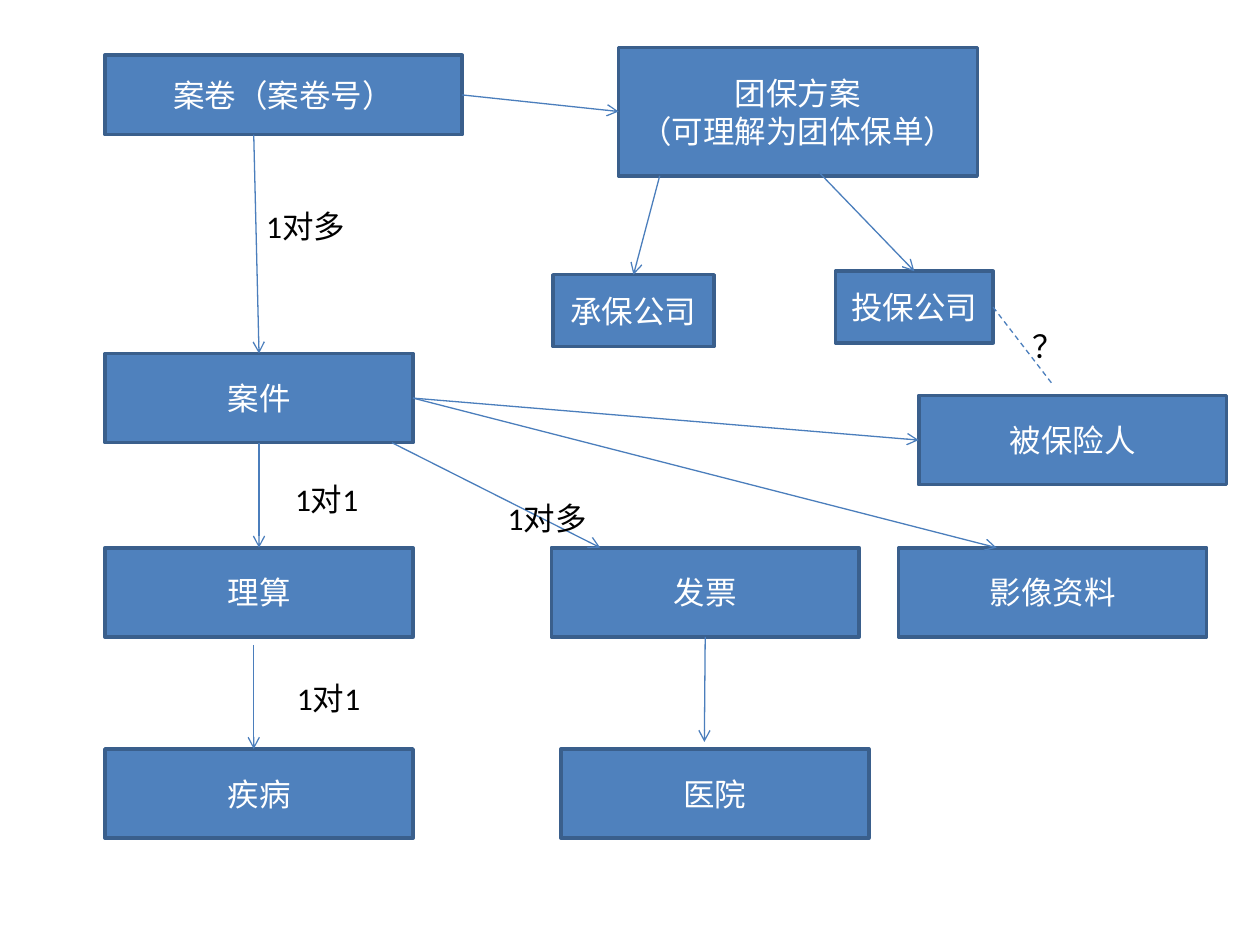
from lxml.etree import SubElement as Sub
from pptx import Presentation
from pptx.dml.color import RGBColor
from pptx.enum.dml import MSO_LINE as Dash
from pptx.enum.shapes import MSO_CONNECTOR as Link, MSO_SHAPE as Shape
from pptx.enum.text import MSO_ANCHOR as Anchor, PP_ALIGN as Align
from pptx.oxml.ns import qn
from pptx.util import Pt

FONT, SIZE = "Calibri", 18
FILL, EDGE, LINE = "4F81BD", "3A5F8C", "4B7EBC"
WHITE, BLACK = "FFFFFF", "000000"
TOP, LEFT, BOTTOM, RIGHT = range(4)
WIDE = (176, 51)

# key: (lines of text, left and top, width and height)
BOXES = {
    "file": (["案卷（案卷号）"], (60, 31.5), (204, 45.5)),
    "plan": (["团保方案", "（可理解为团体保单）"], (353.5, 27), (205, 73.5)),
    "insurer": (["承保公司"], (316, 157), (92, 41)),
    "buyer": (["投保公司"], (477.5, 155), (90, 41)),
    "case": (["案件"], (60, 202), WIDE),
    "insured": (["被保险人"], (525, 226), WIDE),
    "claim": (["理算"], (60, 313), WIDE),
    "bill": (["发票"], (315, 313), WIDE),
    "image": (["影像资料"], (513.5, 313), WIDE),
    "illness": (["疾病"], (60, 428), WIDE),
    "clinic": (["医院"], (320.5, 428), WIDE),
}

# each end is a (box, side) to glue to, or a plain point
ARROWS = [
    (("file", RIGHT), ("plan", LEFT)),
    ((145, 77), ("case", TOP)),
    ((377, 100.5), ("insurer", TOP)),
    ((468, 98.5), ("buyer", TOP)),
    (("case", BOTTOM), ("claim", TOP)),
    (("case", RIGHT), ("insured", LEFT)),
    (("case", RIGHT), (569.5, 313)),
    ((224, 253), (343, 313)),
    ((145, 368.5), (145, 428)),
    (("bill", BOTTOM), (402.5, 424)),
]
DASHED = (("buyer", RIGHT), (601, 219))

# text, left, top, width
LABELS = [
    ("1对多", 145, 115, 60),
    ("1对1", 161.5, 271, 51),
    ("1对多", 283, 281.5, 60),
    ("1对1", 162.5, 384.5, 51),
    ("？", 583, 183.5, 32.5),
]


def color(text):
    """Turn a hex string into a colour."""
    return RGBColor.from_string(text)


def write(frame, lines, ink, align):
    """Put one paragraph per line into a text frame."""
    frame.word_wrap = True
    frame.text = "\n".join(lines)
    for para in frame.paragraphs:
        para.alignment = align
        para.font.name, para.font.size = FONT, Pt(SIZE)
        para.font.color.rgb = color(ink)


def add_box(slide, lines, spot, size):
    """Draw a filled box with centred text."""
    box = slide.shapes.add_shape(Shape.RECTANGLE, *map(Pt, spot + size))
    box.shadow.inherit = False
    box.fill.solid()
    box.fill.fore_color.rgb = color(FILL)
    box.line.color.rgb = color(EDGE)
    box.line.width = Pt(2)
    box.text_frame.vertical_anchor = Anchor.MIDDLE
    write(box.text_frame, lines, WHITE, Align.CENTER)
    return box


def add_link(slide, boxes, start, end, dashed=False):
    """Join two ends with an arrow or a dashed line."""
    ends = [(0, 0) if p[0] in boxes else p for p in (start, end)]
    link = slide.shapes.add_connector(Link.STRAIGHT, *map(Pt, ends[0] + ends[1]))
    for p, glue in ((start, link.begin_connect), (end, link.end_connect)):
        if p[0] in boxes:
            glue(boxes[p[0]], p[1])
    link.line.color.rgb = color(LINE)
    link.line.width = Pt(0.75)
    props = link._element.spPr
    if dashed:
        link.line.dash_style = Dash.DASH
    else:
        Sub(props.find(qn("a:ln")), qn("a:tailEnd"), type="arrow")
    Sub(props, qn("a:effectLst"))


def add_label(slide, text, left, top, width):
    """Place a plain label."""
    label = slide.shapes.add_textbox(*map(Pt, (left, top, width, 29)))
    write(label.text_frame, [text], BLACK, Align.LEFT)


deck = Presentation()
deck.slide_width, deck.slide_height = Pt(720), Pt(540)
slide = deck.slides.add_slide(deck.slide_layouts[6])
boxes = {key: add_box(slide, *box) for key, box in BOXES.items()}
for start, end in ARROWS:
    add_link(slide, boxes, start, end)
add_link(slide, boxes, *DASHED, dashed=True)
for label in LABELS:
    add_label(slide, *label)
deck.save("out.pptx")
